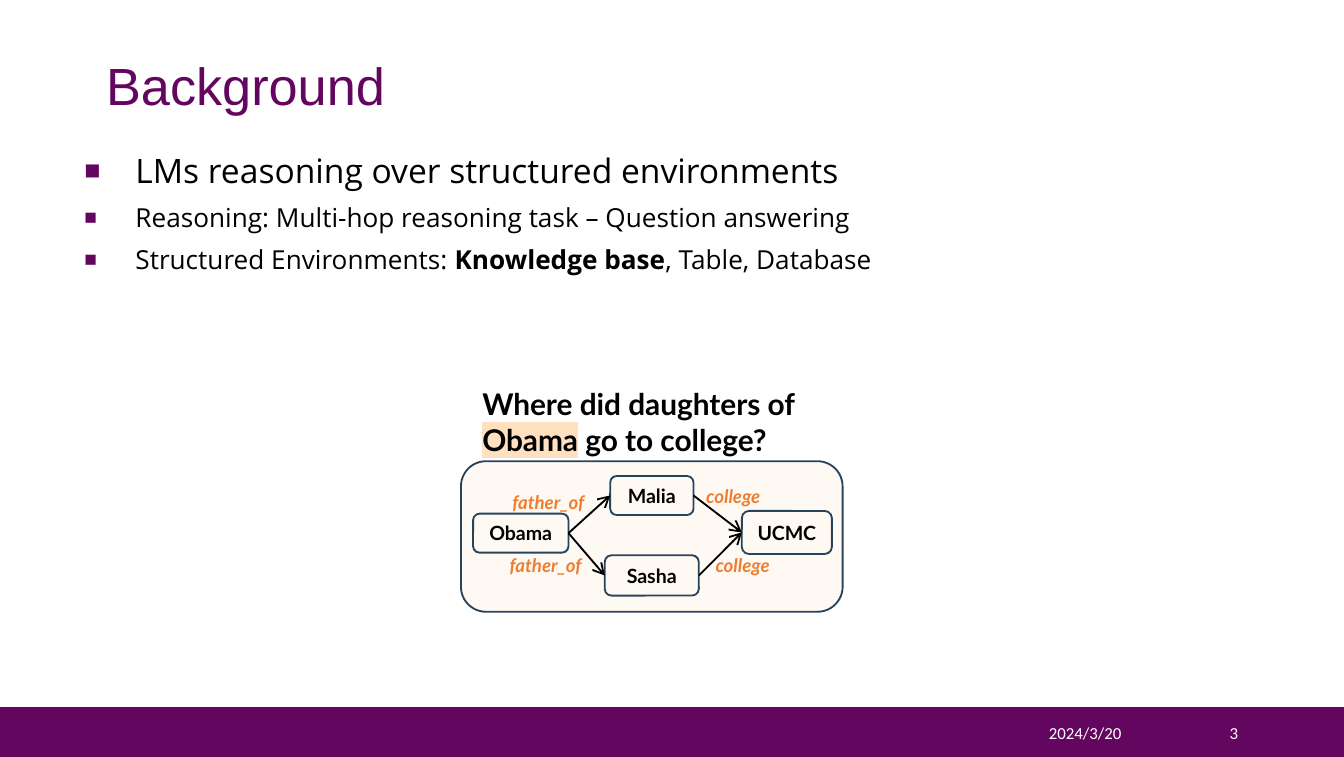
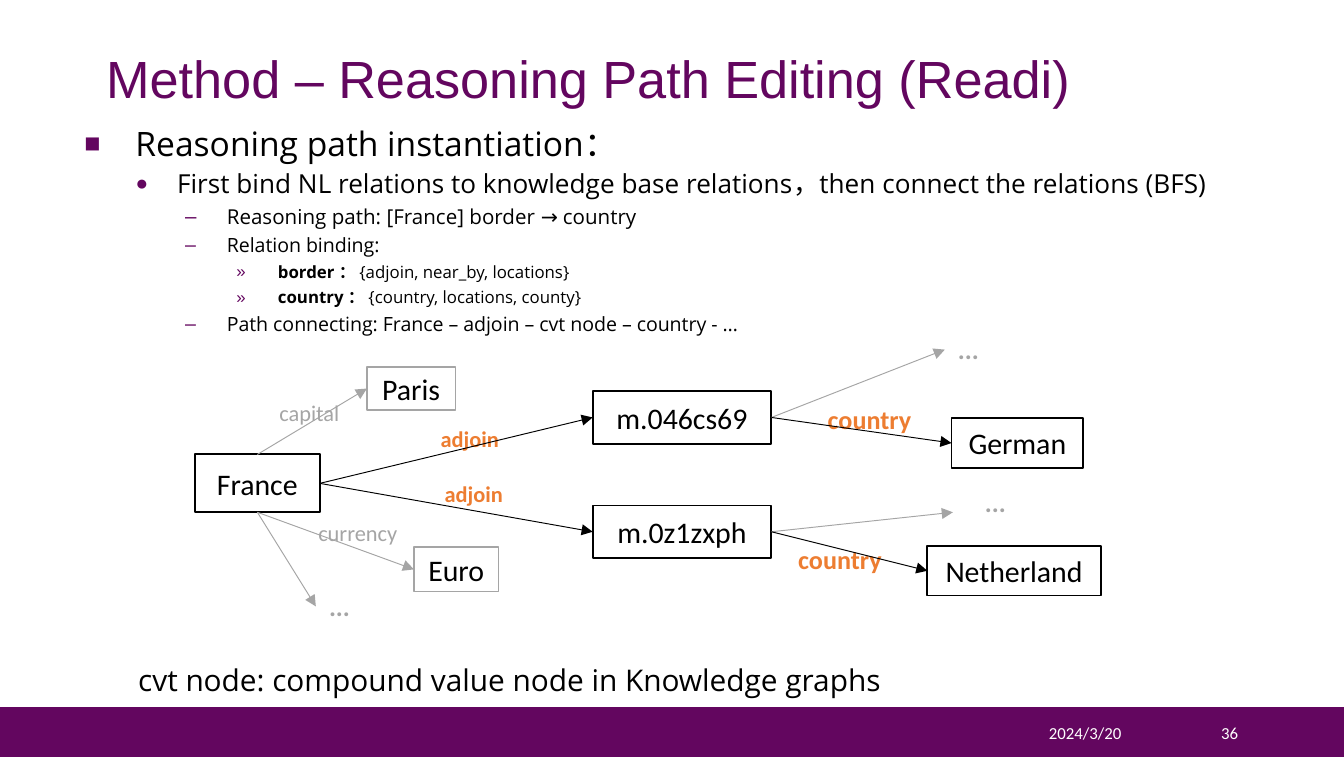
from lxml import etree
from pptx import Presentation
from pptx.dml.color import RGBColor
from pptx.enum import shapes, text
from pptx.oxml import ns
from pptx.util import Inches, Pt

COLORS = {"purple": "63065F", "white": "FFFFFF", "black": "000000", "navy": "28445D",
          "cream": "FFF9F3", "orange": "ED7D31", "gray": "A5A5A5", "peach": "FFE0C1"}
DATE = "2024/3/20"
TOP, LEFT, BOTTOM, RIGHT = range(4)
MIDDLE = text.MSO_ANCHOR.MIDDLE
CENTER = text.PP_ALIGN.CENTER

# Bullet styles: character, size %, left indent, hanging indent, space before
BULLETS = [("■", 80, 0.38, 0.38, 7.5), ("●", 80, 0.69, 0.31, 3.8),
           ("–", 100, 1.06, 0.31, 3.8), ("»", 100, 1.44, 0.31, 3.8)]

# Body lines: level, size, runs as (text, bold)
BACKGROUND = {
    "title": "Background", "title_at": (0.69, 0.39, 8.62, 0.54), "number": "3",
    "body_at": (0.53, 1.1, 8.43, 2.54),
    "body": [
        (0, 18, [("LMs reasoning over structured environments", False)]),
        (0, 14, [("Reasoning: Multi-hop reasoning task – Question answering", False)]),
        (0, 14, [("Structured Environments: ", False), ("Knowledge base", True),
                 (", Table, Database", False)]),
    ],
}
METHOD = {
    "title": "Method – Reasoning Path Editing (Readi)", "title_at": (0.69, 0.34, 8.95, 0.54),
    "number": "36", "body_at": (0.53, 0.9, 9.46, 4.16),
    "body": [
        (0, 18, [("Reasoning path instantiation：", False)]),
        (1, 14, [("First bind NL relations to knowledge base relations，"
                  "then connect the relations (BFS)", False)]),
        (2, 11, [("Reasoning path: [France] border → country", False)]),
        (2, 10.5, [("Relation binding:", False)]),
        (3, 9, [("border ：", True), (" {adjoin, near_by, locations}", False)]),
        (3, 9, [("country ：", True), (" {country, locations, county}", False)]),
        (2, 10.5, [("Path connecting: France – adjoin – cvt node – country - …", False)]),
    ],
}

# Family graph
QUESTION = [("Where did daughters of ", None), ("Obama", "peach"), (" go to college?", None)]
FAMILY = {"Obama": (3.52, 3.82, 0.71, 0.29), "Malia": (4.54, 3.54, 0.62, 0.29),
          "Sasha": (4.5, 4.13, 0.7, 0.3), "UCMC": (5.52, 3.8, 0.67, 0.32)}
FAMILY_LABELS = [("father_of", (3.58, 3.6, 1, 0.27)), ("father_of", (3.56, 4.07, 1, 0.27)),
                 ("college", (4.98, 3.56, 0.95, 0.27)), ("college", (5.05, 4.07, 0.95, 0.27))]
FAMILY_ARROWS = [("Obama", "Malia"), ("Obama", "Sasha"), ("Malia", "UCMC"), ("Sasha", "UCMC")]

# Knowledge graph: box and line colour of each entity
ENTITIES = {
    "France": ((1.45, 3.38, 0.93, 0.43), "black"),
    "m.046cs69": ((4.41, 2.91, 1.33, 0.39), "black"),
    "m.0z1zxph": ((4.41, 3.76, 1.33, 0.39), "black"),
    "Paris": ((2.73, 2.73, 0.66, 0.32), "gray"),
    "Euro": ((3.08, 4.07, 0.63, 0.33), "gray"),
    "German": ((7.08, 3.11, 0.98, 0.37), "black"),
    "Netherland": ((6.9, 4.06, 1.29, 0.37), "black"),
}
# Label, box, size, colour, bold
RELATIONS = [
    ("capital", (1.98, 2.92, 0.81, 0.3), 12, "gray", False),
    ("currency", (2.27, 3.81, 0.96, 0.3), 12, "gray", False),
    ("adjoin", (3.18, 3.11, 0.85, 0.3), 12, "orange", True),
    ("adjoin", (3.21, 3.52, 0.85, 0.3), 12, "orange", True),
    ("country", (6.06, 2.95, 1.03, 0.34), 14, "orange", True),
    ("country", (5.84, 3.99, 1.03, 0.34), 14, "orange", True),
    ("...", (2.35, 4.34, 0.7, 0.34), 14, "gray", True),
    ("...", (7.03, 2.43, 0.63, 0.34), 14, "gray", True),
    ("...", (7.23, 3.57, 0.63, 0.34), 14, "gray", True),
]
# Start entity, its side, end entity or free point, colour
LINKS = [
    ("France", TOP, "Paris", "gray"),
    ("France", BOTTOM, "Euro", "gray"),
    ("France", BOTTOM, (2.35, 4.51), "gray"),
    ("France", RIGHT, "m.046cs69", "black"),
    ("France", RIGHT, "m.0z1zxph", "black"),
    ("m.046cs69", RIGHT, (7.03, 2.6), "gray"),
    ("m.046cs69", RIGHT, "German", "black"),
    ("m.0z1zxph", RIGHT, (7.09, 3.81), "gray"),
    ("m.0z1zxph", RIGHT, "Netherland", "black"),
]


def rgb(name):
    return RGBColor.from_string(COLORS[name])


def inches(values):
    return [Inches(v) for v in values]


def sub(parent, tag, **attrs):
    return etree.SubElement(parent, ns.qn(tag), attrs)


def style(p, size, font, color="black", bold=False, italic=False, align=None):
    p.font.size, p.font.name = Pt(size), font
    p.font.bold, p.font.italic = bold, italic
    p.font.color.rgb = rgb(color)
    p.alignment = align


def add_text(s, at, words, size, font, anchor=text.MSO_ANCHOR.TOP, **look):
    tf = s.shapes.add_textbox(*inches(at)).text_frame
    tf.word_wrap, tf.vertical_anchor = True, anchor
    p = tf.paragraphs[0]
    p.text = words
    style(p, size, font, **look)
    return p


def add_box(s, at, kind, fill=None, line=None):
    sp = s.shapes.add_shape(kind, *inches(at))
    sp.shadow.inherit = False
    if fill:
        sp.fill.solid()
        sp.fill.fore_color.rgb = rgb(fill)
    else:
        sp.fill.background()
    if line:
        sp.line.color.rgb = rgb(line)
        sp.line.width = Pt(1)
    else:
        sp.line.fill.background()
    return sp


def add_node(s, name, at, kind, fill, line, size, font, bold=False):
    sp = add_box(s, at, kind, fill, line)
    tf = sp.text_frame
    tf.margin_left = tf.margin_right = tf.margin_top = tf.margin_bottom = 0
    tf.word_wrap, tf.vertical_anchor = False, MIDDLE
    p = tf.paragraphs[0]
    p.text = name
    style(p, size, font, bold=bold, align=CENTER)
    return sp


def add_arrow(s, start, side, end, color, width, head):
    free_end = inches(end) if isinstance(end, tuple) else (0, 0)
    c = s.shapes.add_connector(shapes.MSO_CONNECTOR.STRAIGHT, 0, 0, *free_end)
    c.begin_connect(start, side)
    if not isinstance(end, tuple):
        c.end_connect(end, LEFT)
    c.line.color.rgb = rgb(color)
    c.line.width = Pt(width)
    sub(c.line._get_or_add_ln(), "a:tailEnd", type=head)
    sub(c._element.spPr, "a:effectLst")


def add_body(s, at, lines):
    tf = s.shapes.add_textbox(*inches(at)).text_frame
    tf.word_wrap = True
    for i, (level, size, runs) in enumerate(lines):
        p = tf.add_paragraph() if i else tf.paragraphs[0]
        char, pct, left, hang, before = BULLETS[level]
        p.level, p.line_spacing = level, 0.9
        p.space_before = Pt(before if i else 0)
        pPr = p._p.get_or_add_pPr()
        pPr.set("marL", str(Inches(left)))
        pPr.set("indent", str(-Inches(hang)))
        sub(sub(pPr, "a:buClr"), "a:srgbClr", val=COLORS["purple"])
        sub(pPr, "a:buSzPct", val=str(pct * 1000))
        sub(pPr, "a:buFont", typeface="Arial")
        sub(pPr, "a:buChar", char=char)
        style(p, size, "Open Sans")
        for words, bold in runs:
            r = p.add_run()
            r.text = words
            if bold:
                r.font.bold = True


def new_slide(prs, content):
    s = prs.slides.add_slide(prs.slide_layouts[5])
    # Footer band
    add_box(s, (0, 5.26, 10, 0.37), shapes.MSO_SHAPE.RECTANGLE, "purple")
    add_text(s, (7.39, 5.3, 1.37, 0.3), DATE, 9, "Calibri", MIDDLE,
             color="white", align=CENTER)
    add_text(s, (8.76, 5.3, 0.55, 0.3), content["number"], 9, "Calibri", MIDDLE,
             color="white", align=text.PP_ALIGN.RIGHT)
    # Title
    title = s.shapes.title
    title.left, title.top, title.width, title.height = inches(content["title_at"])
    tf = title.text_frame
    tf.text = content["title"]
    tf.word_wrap, tf.vertical_anchor = True, MIDDLE
    tf.auto_size = text.MSO_AUTO_SIZE.NONE
    p = tf.paragraphs[0]
    p.line_spacing = 0.9
    style(p, 28, "Arial", "purple", align=text.PP_ALIGN.LEFT)
    add_body(s, content["body_at"], content["body"])
    return s


def build_background(prs):
    s = new_slide(prs, BACKGROUND)
    rounded = shapes.MSO_SHAPE.ROUNDED_RECTANGLE
    # Graph panel
    add_box(s, (3.43, 3.43, 2.84, 1.12), rounded, "cream", "navy")
    nodes = {name: add_node(s, name, at, rounded, None, "navy", 10.5, "Lato", True)
             for name, at in FAMILY.items()}
    for start, end in FAMILY_ARROWS:
        add_arrow(s, nodes[start], RIGHT, nodes[end], "black", 1, "arrow")
    for words, at in FAMILY_LABELS:
        add_text(s, at, words, 10, "Lato", color="orange", bold=True, italic=True, align=CENTER)
    # Question with its highlighted entity
    p = add_text(s, (3.49, 2.82, 3.14, 0.64), "", 16, "Lato", bold=True)
    for words, highlight in QUESTION:
        r = p.add_run()
        r.text = words
        if highlight:
            mark = sub(r._r.get_or_add_rPr(), "a:highlight")
            sub(mark, "a:srgbClr", val=COLORS[highlight])


def build_method(prs):
    s = new_slide(prs, METHOD)
    nodes = {name: add_node(s, name, at, shapes.MSO_SHAPE.RECTANGLE, "white", line, 16, "Calibri")
             for name, (at, line) in ENTITIES.items()}
    for words, at, size, color, bold in RELATIONS:
        add_text(s, at, words, size, "Calibri", color=color, bold=bold)
    for start, side, end, color in LINKS:
        add_arrow(s, nodes[start], side, nodes.get(end, end), color, 0.5, "triangle")
    # Note on cvt nodes
    add_text(s, (0.93, 4.89, 6.38, 0.33), "cvt node: compound value node in Knowledge graphs",
             16, "Open Sans", MIDDLE)


def main():
    prs = Presentation()
    prs.slide_width, prs.slide_height = Inches(10), Inches(5.63)
    build_background(prs)
    build_method(prs)
    prs.save("out.pptx")


if __name__ == "__main__":
    main()
